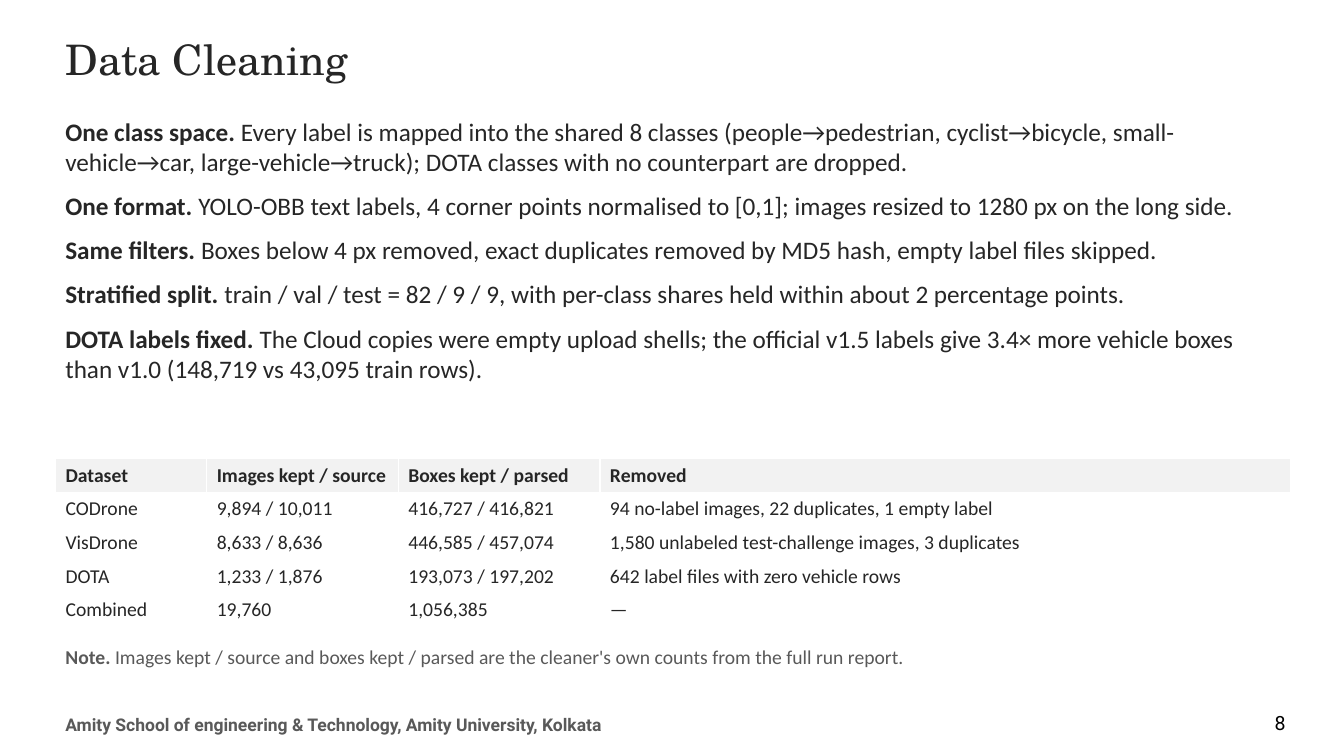
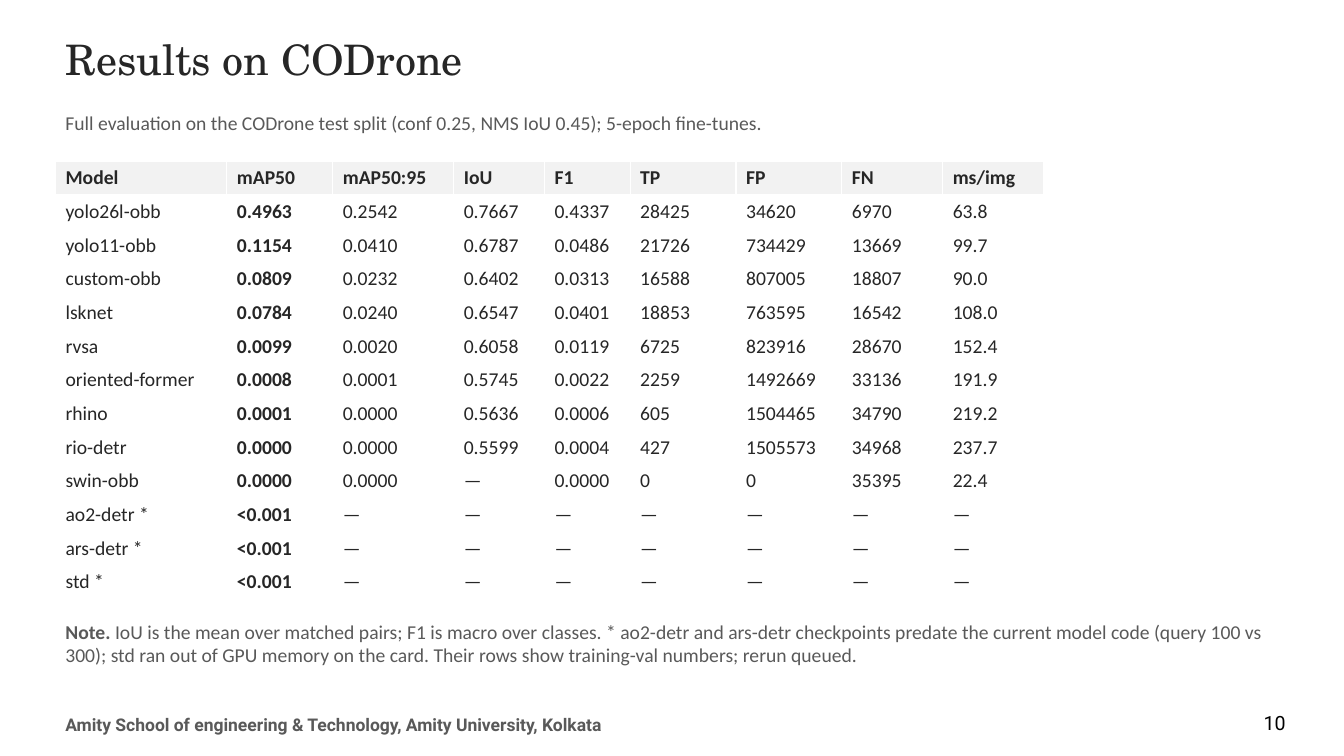
from pptx import Presentation
from pptx import util as u
from pptx.dml.color import RGBColor
from pptx.enum import text as t
from pptx.oxml import parse_xml
from pptx.oxml.ns import nsdecls

HUES = {"ink": "262626", "gray": "595959", "black": "000000",
        "head": "F2F2F2", "white": "FFFFFF"}
SERIF, SANS, FOOT = "TeX Gyre Schola", "Calibri", "Roboto"
LEFT, WIDE = 0.55, 12.2
SCHOOL = "Amity School of engineering & Technology, Amity University, Kolkata"

# Content: a paragraph is a (bold lead, plain rest) pair
STEPS = [
    ("One class space. ", "Every label is mapped into the shared 8 classes "
     "(people→pedestrian, cyclist→bicycle, small-vehicle→car, "
     "large-vehicle→truck); DOTA classes with no counterpart are dropped."),
    ("One format. ", "YOLO-OBB text labels, 4 corner points normalised to "
     "[0,1]; images resized to 1280 px on the long side."),
    ("Same filters. ", "Boxes below 4 px removed, exact duplicates removed "
     "by MD5 hash, empty label files skipped."),
    ("Stratified split. ", "train / val / test = 82 / 9 / 9, with per-class "
     "shares held within about 2 percentage points."),
    ("DOTA labels fixed. ", "The Cloud copies were empty upload shells; the "
     "official v1.5 labels give 3.4× more vehicle boxes than v1.0 "
     "(148,719 vs 43,095 train rows)."),
]
COUNTS = [
    ("Dataset", "Images kept / source", "Boxes kept / parsed", "Removed"),
    ("CODrone", "9,894 / 10,011", "416,727 / 416,821",
     "94 no-label images, 22 duplicates, 1 empty label"),
    ("VisDrone", "8,633 / 8,636", "446,585 / 457,074",
     "1,580 unlabeled test-challenge images, 3 duplicates"),
    ("DOTA", "1,233 / 1,876", "193,073 / 197,202",
     "642 label files with zero vehicle rows"),
    ("Combined", "19,760", "1,056,385", "—"),
]
SCORES = [
    ("Model", "mAP50", "mAP50:95", "IoU", "F1", "TP", "FP", "FN", "ms/img"),
    ("yolo26l-obb", "0.4963", "0.2542", "0.7667", "0.4337",
     "28425", "34620", "6970", "63.8"),
    ("yolo11-obb", "0.1154", "0.0410", "0.6787", "0.0486",
     "21726", "734429", "13669", "99.7"),
    ("custom-obb", "0.0809", "0.0232", "0.6402", "0.0313",
     "16588", "807005", "18807", "90.0"),
    ("lsknet", "0.0784", "0.0240", "0.6547", "0.0401",
     "18853", "763595", "16542", "108.0"),
    ("rvsa", "0.0099", "0.0020", "0.6058", "0.0119",
     "6725", "823916", "28670", "152.4"),
    ("oriented-former", "0.0008", "0.0001", "0.5745", "0.0022",
     "2259", "1492669", "33136", "191.9"),
    ("rhino", "0.0001", "0.0000", "0.5636", "0.0006",
     "605", "1504465", "34790", "219.2"),
    ("rio-detr", "0.0000", "0.0000", "0.5599", "0.0004",
     "427", "1505573", "34968", "237.7"),
    ("swin-obb", "0.0000", "0.0000", "—", "0.0000", "0", "0", "35395", "22.4"),
    *[(name, "<0.001") + ("—",) * 7
      for name in ("ao2-detr *", "ars-detr *", "std *")],
]
SLIDES = [
    {"title": "Data Cleaning", "page": "8",
     "texts": [
         (1.1, 3.2, STEPS, {"size": 18}),
         (6.35, 0.6, [("Note. ", "Images kept / source and boxes kept / "
                       "parsed are the cleaner's own counts from the full "
                       "run report.")], {"hue": "gray"})],
     "table": {"rows": COUNTS, "top": 4.55, "high": 0.32,
               "cols": [1.5, 1.9, 2, 6.85]}},
    {"title": "Results on CODrone", "page": "10",
     "texts": [
         (1.05, 0.5, [("", "Full evaluation on the CODrone test split (conf "
                       "0.25, NMS IoU 0.45); 5-epoch fine-tunes.")],
          {"hue": "gray"}),
         (6.1, 0.9, [("Note. ", "IoU is the mean over matched pairs; F1 is "
                      "macro over classes. * ao2-detr and ars-detr "
                      "checkpoints predate the current model code (query 100 "
                      "vs 300); std ran out of GPU memory on the card. Their "
                      "rows show training-val numbers; rerun queued.")],
          {"hue": "gray"})],
     "table": {"rows": SCORES, "top": 1.6, "high": 0.31, "bold": 1,
               "cols": [1.7, 1.05, 1.2, 0.9, 0.85, 1.05, 1.05, 1, 1]}},
]


def write(frame, paras, size=14, hue="ink", face=SANS, align=None,
          before=0, after=0):
    """Fill a text frame with paragraphs of (bold lead, plain rest)."""
    frame.word_wrap = True
    for i, pair in enumerate(paras):
        para = frame.add_paragraph() if i else frame.paragraphs[0]
        if align is not None:
            para.alignment = align
        if after:
            para.space_after = u.Pt(after)
        if i and before:
            para.space_before = u.Pt(before)
        for words, bold in zip(pair, (True, False)):
            if words:
                run = para.add_run()
                run.text = words
                font = run.font
                font.size, font.name, font.bold = u.Pt(size), face, bold
                font.color.rgb = RGBColor.from_string(HUES[hue])


def box(slide, left, top, wide, high, paras, **form):
    place = [u.Inches(n) for n in (left, top, wide, high)]
    frame = slide.shapes.add_textbox(*place).text_frame
    frame.vertical_anchor = t.MSO_ANCHOR.TOP
    write(frame, paras, **form)


def edge(cell):
    """Give a cell thin white borders on all sides."""
    props = cell._tc.get_or_add_tcPr()
    for i, side in enumerate("LRTB"):
        props.insert(i, parse_xml(
            f'<a:ln{side} {nsdecls("a")} w="12700"><a:solidFill>'
            f'<a:srgbClr val="{HUES["white"]}"/></a:solidFill></a:ln{side}>'))


def grid(slide, rows, top, high, cols, bold=None):
    """Add a table with a tinted head row; bold is a column to stress."""
    place = [u.Inches(n) for n in (LEFT, top, sum(cols), high * len(rows))]
    table = slide.shapes.add_table(len(rows), len(cols), *place).table
    table.horz_banding = False
    for col, wide in zip(table.columns, cols):
        col.width = u.Inches(wide)
    for r, row in enumerate(rows):
        table.rows[r].height = u.Inches(high)
        for c, words in enumerate(row):
            cell = table.cell(r, c)
            cell.fill.solid()
            cell.fill.fore_color.rgb = RGBColor.from_string(
                HUES["white" if r else "head"])
            edge(cell)
            strong = r == 0 or c == bold
            write(cell.text_frame, [(words, "") if strong else ("", words)])


def frame_up(slide, title, page):
    """Add the title, footer and page number that all slides share."""
    box(slide, LEFT, 0.28, WIDE, 0.7, [("", title)], size=30, face=SERIF)
    box(slide, LEFT, 7.03, 8, 0.32, [(SCHOOL, "")],
        size=12.5, hue="gray", face=FOOT)
    box(slide, 12.35, 7, 0.5, 0.35, [("", page)],
        hue="black", face=FOOT, align=t.PP_ALIGN.RIGHT)


def main():
    deck = Presentation()
    deck.slide_width, deck.slide_height = u.Inches(13.33), u.Inches(7.5)
    for item in SLIDES:
        slide = deck.slides.add_slide(deck.slide_layouts[6])
        frame_up(slide, item["title"], item["page"])
        for top, high, paras, form in item["texts"]:
            box(slide, LEFT, top, WIDE, high, paras,
                before=8, after=2, **form)
        grid(slide, **item["table"])
    deck.save("out.pptx")


if __name__ == "__main__":
    main()
